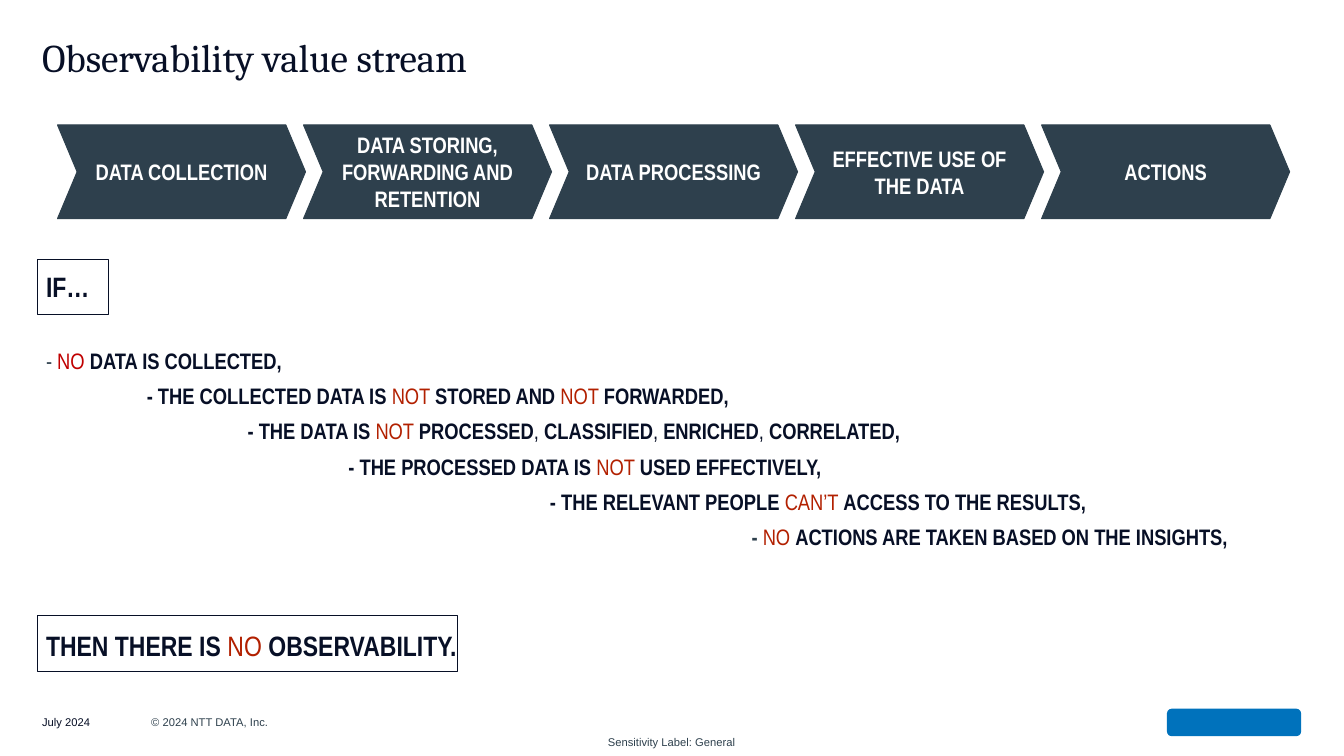
from pptx import Presentation
from pptx.dml.color import RGBColor
from pptx.enum.shapes import MSO_SHAPE as Form
from pptx.enum.text import MSO_ANCHOR as Anchor, MSO_AUTO_SIZE as Auto, PP_ALIGN as Align
from pptx.oxml.ns import qn
from pptx.util import Cm, Pt

NAVY, SLATE, RED, BLUE = "070F26", "2E404D", "B22000", "0072BC"


def style(item, **form):
    """Set each given attribute; a hex string under color becomes a solid colour."""
    for name, value in form.items():
        if name == "color":
            item.color.rgb = RGBColor.from_string(value)
        else:
            setattr(item, name, value)


def draw(kind, left, top, width, height, fill, line):
    """Add a shape, measured in cm; fill or line may be None."""
    shape = slide.shapes.add_shape(kind, Cm(left), Cm(top), Cm(width), Cm(height))
    shape.shadow.inherit = False
    if fill:
        shape.fill.solid()
        shape.fill.fore_color.rgb = RGBColor.from_string(fill)
    else:
        shape.fill.background()
    if line:
        style(shape.line, color=line, width=Pt(0.75))
    else:
        shape.line.fill.background()
    return shape


deck = Presentation()
style(deck, slide_width=Cm(33.87), slide_height=Cm(19.05))
slide = deck.slides.add_slide(deck.slide_layouts[1])
title, body = slide.placeholders

# Title
style(title, left=Cm(1.06), top=Cm(0.84), width=Cm(31.75), height=Cm(1.47))
style(title.text_frame, text="Observability value stream", auto_size=Auto.NONE,
      vertical_anchor=Anchor.TOP, margin_left=0, margin_right=0)
head = title.text_frame.paragraphs[0]
style(head, alignment=Align.LEFT, line_spacing=0.9)
style(head.font, name="Cambria", size=Pt(28), color=NAVY)

# Value stream
steps = ["DATA COLLECTION", "DATA STORING, FORWARDING AND RETENTION",
         "DATA PROCESSING", "EFFECTIVE USE OF THE DATA", "ACTIONS"]
for i, step in enumerate(steps):
    arrow = draw(Form.CHEVRON, 1.45 + 6.2 * i, 3.15, 6.25, 2.36, SLATE, SLATE)
    arrow.adjustments[0] = 0.21
    style(arrow.text_frame, text=step, word_wrap=True, vertical_anchor=Anchor.MIDDLE)
    par = arrow.text_frame.paragraphs[0]
    par.alignment = Align.CENTER
    style(par.font, name="Arial Narrow", size=Pt(16), bold=True, color="FFFFFF")

# Conditions: indent in inches, space before, size, runs of (text, colour, bold)
lines = [
    (0, 0, 20, [("IF…", NAVY, True)]),
    (0, 31, 16, [("- ", SLATE, False), ("NO ", "C00000", False),
                 ("DATA IS COLLECTED,", NAVY, True)]),
    (1, 6, 16, [("- THE COLLECTED DATA IS ", NAVY, True), ("NOT ", RED, False),
                ("STORED AND ", NAVY, True), ("NOT ", RED, False),
                ("FORWARDED,", NAVY, True)]),
    (2, 6, 16, [("- THE DATA IS ", NAVY, True), ("NOT ", RED, False),
                ("PROCESSED", NAVY, True), (", ", NAVY, False),
                ("CLASSIFIED", NAVY, True), (", ", NAVY, False),
                ("ENRICHED", NAVY, True), (", ", NAVY, False),
                ("CORRELATED,", NAVY, True)]),
    (3, 6, 16, [("- THE PROCESSED DATA IS ", NAVY, True), ("NOT ", RED, False),
                ("USED EFFECTIVELY,", NAVY, True)]),
    (5, 6, 16, [("- THE RELEVANT PEOPLE ", NAVY, True), ("CAN’T ", RED, False),
                ("ACCESS TO THE RESULTS,", NAVY, True)]),
    (7, 6, 16, [("- ", SLATE, True), ("NO ", RED, False),
                ("ACTIONS ARE TAKEN BASED ON THE INSIGHTS,", NAVY, True)]),
    (0, 56, 20, [("THEN THERE IS ", NAVY, True), ("NO", RED, False),
                 (" OBSERVABILITY.", NAVY, True)]),
]
style(body, left=Cm(1.06), top=Cm(6.6), width=Cm(32.66), height=Cm(11.18))
frame = body.text_frame
style(frame, auto_size=Auto.NONE, word_wrap=True, vertical_anchor=Anchor.TOP,
      margin_left=Cm(0.1), margin_right=Cm(0.1), margin_top=Cm(0.2), margin_bottom=Cm(0.2))
for i, (indent, gap, size, runs) in enumerate(lines):
    par = frame.add_paragraph() if i else frame.paragraphs[0]
    props = par._p.get_or_add_pPr()
    props.set("marL", str(Cm(2.54 * indent)))
    props.set("indent", "0")
    props.append(props.makeelement(qn("a:buNone"), {}))
    style(par, space_before=Pt(gap), alignment=Align.LEFT)
    for text, color, bold in runs:
        run = par.add_run()
        run.text = text
        style(run.font, name="Arial Narrow", size=Pt(size), bold=bold, color=color)

# Frames around the premise and the conclusion
for top, width in [(6.53, 1.8), (15.52, 10.59)]:
    draw(Form.RECTANGLE, 0.94, top, width, 1.4, None, NAVY)

# Footer
notes = [("July 2024", 1.06, 17.78, 2.54, 0.84, "050D24", Anchor.MIDDLE),
         ("© 2024 NTT DATA, Inc.", 3.81, 17.78, 11.43, 0.84, SLATE, Anchor.MIDDLE),
         ("Sensitivity Label: General", 15.32, 18.54, 3.6, 0.33, SLATE, Anchor.TOP)]
for text, left, top, width, height, color, anchor in notes:
    box = slide.shapes.add_textbox(Cm(left), Cm(top), Cm(width), Cm(height))
    style(box.text_frame, text=text, word_wrap=True, vertical_anchor=anchor,
          margin_left=0, margin_right=0, margin_top=0, margin_bottom=0)
    style(box.text_frame.paragraphs[0].font, name="Arial", size=Pt(8), color=color)
draw(Form.ROUNDED_RECTANGLE, 29.41, 17.86, 3.38, 0.69, BLUE, None)

deck.save("out.pptx")
